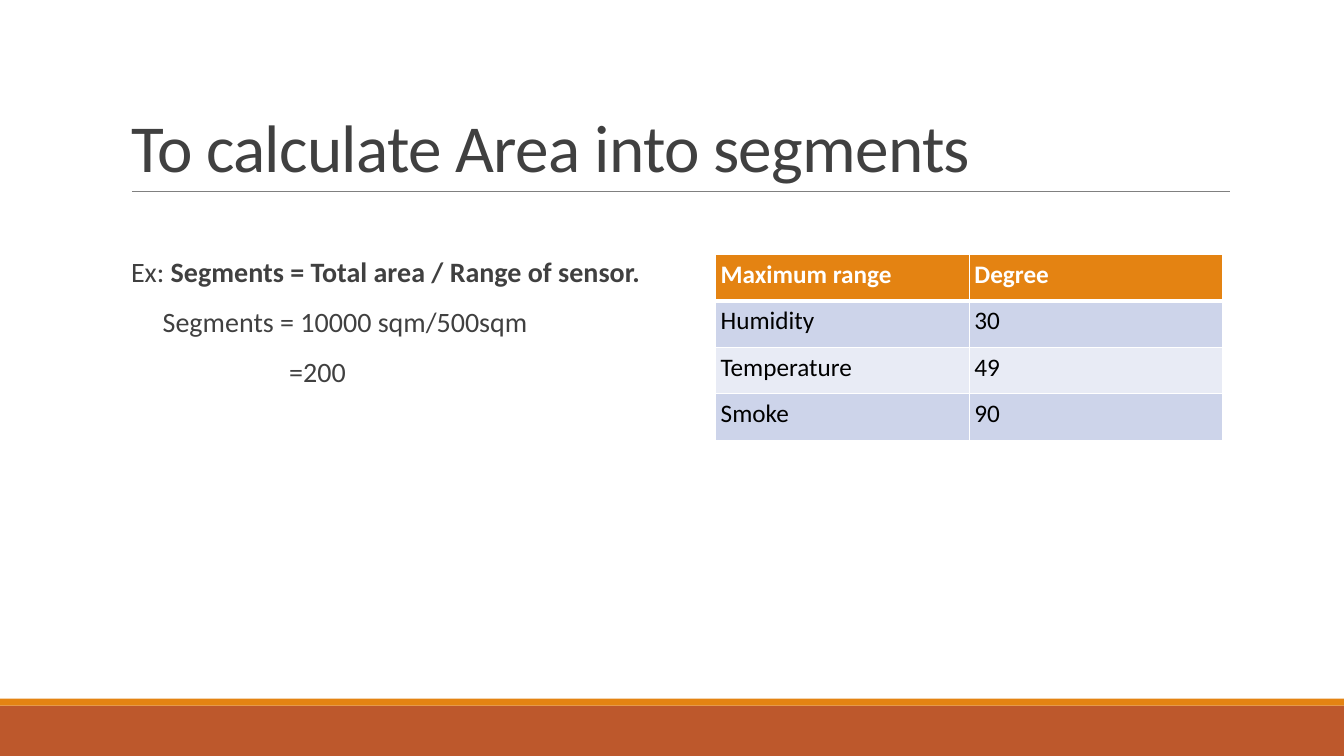
from dataclasses import dataclass

from lxml import etree
from pptx import Presentation
from pptx import util as u
from pptx.dml import color
from pptx.enum import shapes, text
from pptx.oxml import ns

Pt = u.Pt
FONT = "Calibri"
GREY = "404040"
WHITE = "FFFFFF"
ORANGE = "E48312"
RUST = "BD582C"


@dataclass
class Band:
    top: float
    height: float
    fill: str


@dataclass
class Run:
    words: str
    bold: bool = False


@dataclass
class Line:
    indent: float
    runs: list[Run]


BANDS = [Band(504, 36, RUST), Band(499, 5, ORANGE)]
LINES = [
    Line(7.2, [Run("Ex: "), Run("Segments = Total area / Range of sensor.", True)]),
    Line(29.8, [Run("Segments = 10000 sqm/500sqm")]),
    Line(120.2, [Run("=200")]),
]
ROWS = [
    ("Maximum range", "Degree"),
    ("Humidity", "30"),
    ("Temperature", "49"),
    ("Smoke", "90"),
]
FILLS = [ORANGE, "CDD4EA", "E8EBF5", "CDD4EA"]


def paint(part, code: str) -> None:
    if hasattr(part, "solid"):
        part.solid()
        part = part.fore_color
    part.rgb = color.RGBColor.from_string(code)


def write(para, run: Run, size: float, code: str):
    item = para.add_run()
    item.text = run.words
    item.font.name = FONT
    item.font.size = Pt(size)
    item.font.bold = run.bold
    paint(item.font.color, code)
    return item


def place(shape, left: float, top: float, width: float, height: float) -> None:
    shape.left, shape.top = Pt(left), Pt(top)
    shape.width, shape.height = Pt(width), Pt(height)


def draw_band(slide, band: Band) -> None:
    shape = slide.shapes.add_shape(
        shapes.MSO_SHAPE.RECTANGLE, 0, Pt(band.top), Pt(960), Pt(band.height)
    )
    shape.shadow.inherit = False
    paint(shape.fill, band.fill)
    shape.line.fill.background()


def draw_rule(slide) -> None:
    rule = slide.shapes.add_connector(
        shapes.MSO_CONNECTOR.STRAIGHT, Pt(94.2), Pt(136.6), Pt(878.9), Pt(136.6)
    )
    paint(rule.line.fill, "808080")
    rule.line.width = Pt(0.5)
    etree.SubElement(rule._element.spPr, ns.qn("a:effectLst"))


def fill_title(title) -> None:
    place(title, 86.4, 22.6, 792, 114.2)
    frame = title.text_frame
    frame.auto_size = text.MSO_AUTO_SIZE.NONE
    frame.vertical_anchor = text.MSO_ANCHOR.BOTTOM
    para = frame.paragraphs[0]
    para.alignment = text.PP_ALIGN.LEFT
    para.line_spacing = 0.85
    run = write(para, Run("To calculate Area into segments"), 48, GREY)
    run.font._element.set("spc", "-50")


def fill_body(body) -> None:
    place(body, 86.4, 181.2, 792, 281)
    frame = body.text_frame
    frame.auto_size = text.MSO_AUTO_SIZE.NONE
    frame.vertical_anchor = text.MSO_ANCHOR.TOP
    frame.margin_left = frame.margin_right = 0
    frame.margin_top = frame.margin_bottom = Pt(3.6)
    for i, line in enumerate(LINES):
        para = frame.add_paragraph() if i else frame.paragraphs[0]
        para.line_spacing = 0.9
        para.space_before, para.space_after = Pt(12), Pt(2)
        props = para._p.get_or_add_pPr()
        props.set("marL", str(Pt(line.indent)))
        props.set("indent", "0")
        etree.SubElement(props, ns.qn("a:buNone"))
        for run in line.runs:
            write(para, run, 20, GREY)


def edge(cell, side: str, width: float) -> None:
    props = cell._tc.get_or_add_tcPr()
    line = etree.SubElement(props, ns.qn(f"a:ln{side}"), w=str(Pt(width)))
    fill = etree.SubElement(line, ns.qn("a:solidFill"))
    etree.SubElement(fill, ns.qn("a:srgbClr"), val=WHITE)


def draw_table(slide) -> None:
    frame = slide.shapes.add_table(
        len(ROWS), 2, Pt(511.2), Pt(181.6), Pt(362.4), Pt(133)
    )
    table = frame.table
    for i, row in enumerate(ROWS):
        table.rows[i].height = Pt(33.25)
        for j, words in enumerate(row):
            cell = table.cell(i, j)
            cell.margin_left = cell.margin_right = Pt(3.6)
            cell.margin_top = cell.margin_bottom = Pt(3.6)
            edge(cell, "L", 1)
            edge(cell, "R", 1)
            edge(cell, "T", 3 if i == 1 else 1)
            edge(cell, "B", 3 if i == 0 else 1)
            paint(cell.fill, FILLS[i])
            code = "000000" if i else WHITE
            write(cell.text_frame.paragraphs[0], Run(words, i == 0), 18, code)


def main() -> None:
    deck = Presentation()
    deck.slide_width, deck.slide_height = Pt(960), Pt(540)
    slide = deck.slides.add_slide(deck.slide_layouts[1])
    for band in BANDS:
        draw_band(slide, band)
    draw_rule(slide)
    fill_title(slide.shapes.title)
    fill_body(slide.placeholders[1])
    draw_table(slide)
    deck.save("out.pptx")


if __name__ == "__main__":
    main()
